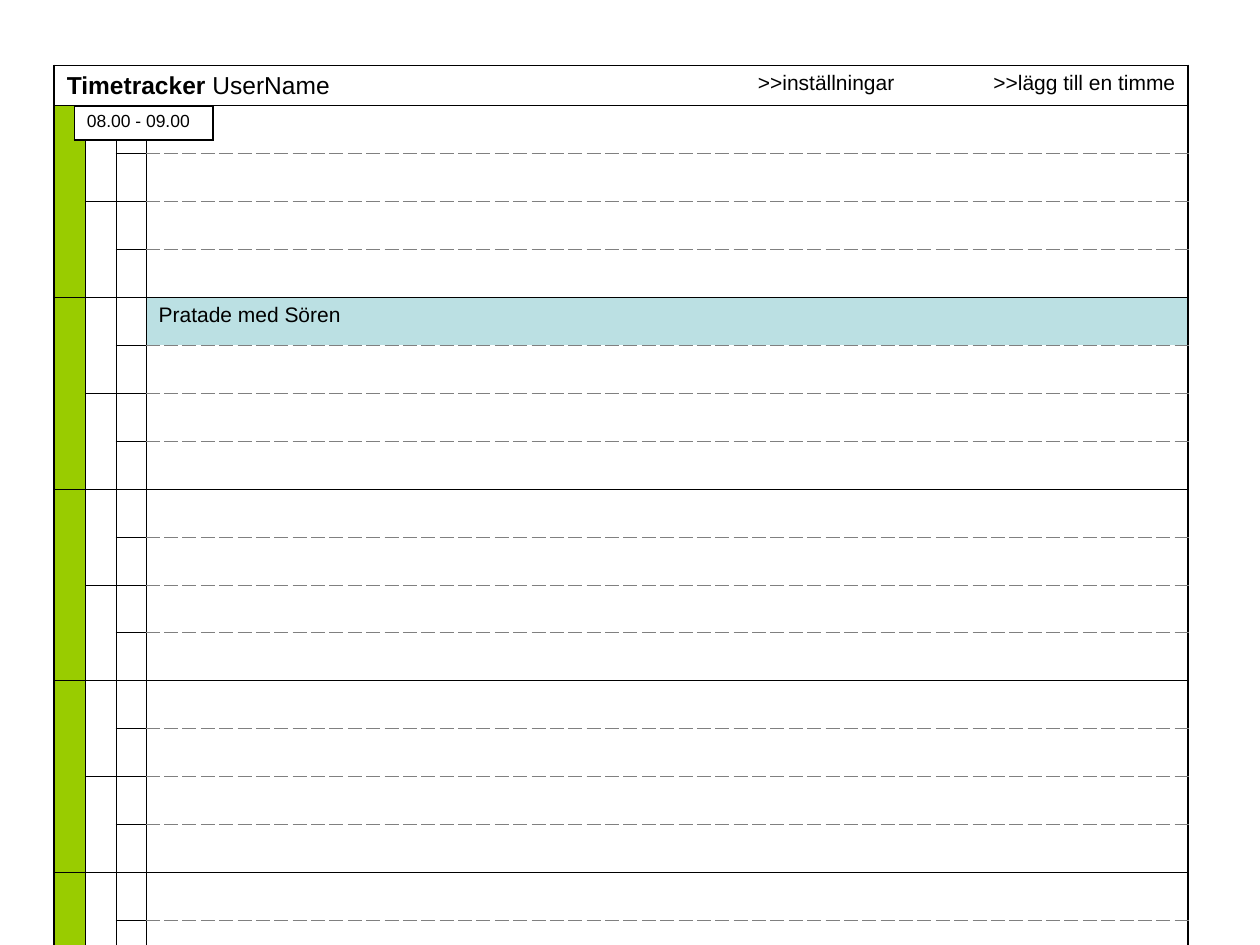
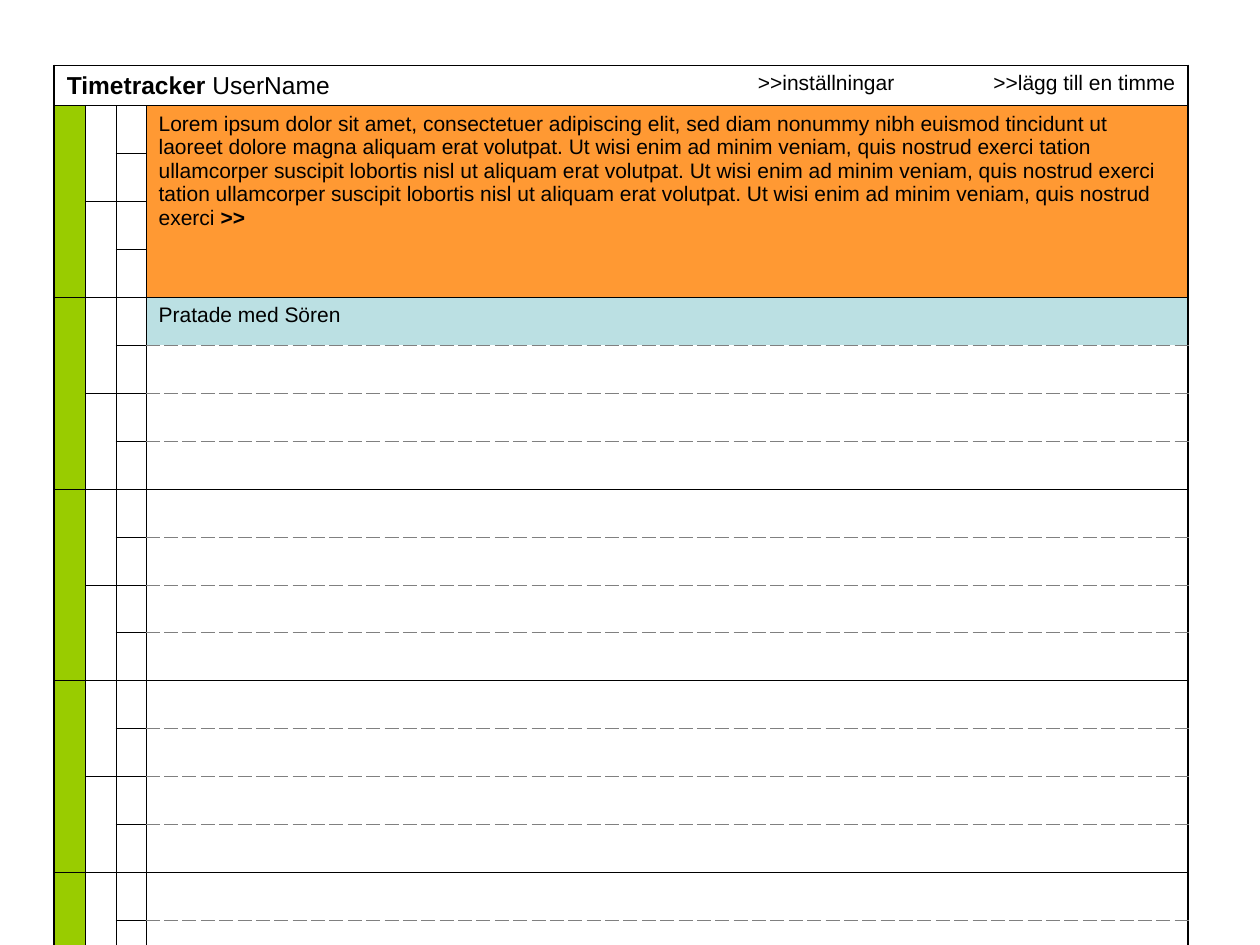
import lxml.etree
import pptx
import pptx.dml.color
import pptx.enum.text
import pptx.oxml.ns
import pptx.util

ADD = ">>lägg till en timme"
LOREM = "Lorem ipsum dolor sit amet, consectetuer adipiscing elit, sed diam nonummy nibh euismod tincidunt ut laoreet dolore magna aliquam erat volutpat. "
WISI = "Ut wisi enim ad minim veniam, quis nostrud exerci "
TATION = "tation ullamcorper suscipit lobortis nisl ut aliquam erat volutpat. "

# Runs are (text, bold); notes are first row: (rows high, fill, runs)
HEAD = [("Timetracker", True), (" UserName", False)]
TALK = (1, "BBE0E3", [("Pratade med Sören", False)])
STORY = (4, "FF9933", [(LOREM + (WISI + TATION) * 2 + WISI, False), (">>", True)])
DAYS = [
    {"notes": {5: TALK}, "label": "08.00 - 09.00", "head": 0.27, "tall": 6.29},
    {"notes": {1: STORY, 5: TALK}, "label": None, "head": 0.31, "tall": 6.43},
]

FONT, INK, GREEN, WHITE = "Arial", "000000", "99CC00", "FFFFFF"
THIN, THICK, DASH = (INK, 0.45, "solid"), (INK, 1.08, "solid"), ("808080", 0.45, "dash")
COLS = [0.25, 0.24, 0.24, 3.81, 2.23, 2.23]
LEFT, TOP, FOOT = 0.43, 0.52, 0.24
HOURS, PARTS = 7, 4
LAST = HOURS * PARTS + 1
RIGHT = pptx.enum.text.PP_ALIGN.RIGHT
inch, pt = pptx.util.Inches, pptx.util.Pt


def color(code):
    return pptx.dml.color.RGBColor.from_string(code)


def edge(cell, side, line):
    props = cell._tc.get_or_add_tcPr()
    name = pptx.oxml.ns.qn
    ln = lxml.etree.SubElement(props, name("a:ln" + side))
    if not line:
        lxml.etree.SubElement(ln, name("a:noFill"))
        return
    ln.set("w", str(int(pt(line[1]))))
    fill = lxml.etree.SubElement(ln, name("a:solidFill"))
    lxml.etree.SubElement(fill, name("a:srgbClr"), val=line[0])
    lxml.etree.SubElement(ln, name("a:prstDash"), val=line[2])


def write(cell, runs, size, align=None):
    para = cell.text_frame.paragraphs[0]
    para.alignment = align
    para.space_before = pt(size / 4)
    for text, bold in runs:
        run = para.add_run()
        run.text = text
        font = run.font
        font.name, font.size, font.bold = FONT, pt(size), bold
        font.color.rgb = color(INK)


def blank(cell):
    """Give an empty cell the type size that sets its row height."""
    name = pptx.oxml.ns.qn
    para = cell.text_frame.paragraphs[0]._p
    end = lxml.etree.SubElement(para, name("a:endParaRPr"), sz="1800")
    lxml.etree.SubElement(end, name("a:latin"), typeface=FONT)


def block(table, row, col, high=1, wide=1, lines=(THIN,) * 4, fill=None):
    """Merge, border and fill a block; lines run left, right, top, bottom."""
    first = table.cell(row, col)
    for r in range(row, row + high):
        for c in range(col, col + wide):
            cell = table.cell(r, c)
            for side, line in zip("LRTB", lines):
                edge(cell, side, line)
            if fill:
                cell.fill.solid()
                cell.fill.fore_color.rgb = color(fill)
            else:
                cell.fill.background()
    if high * wide > 1:
        first.merge(table.cell(row + high - 1, col + wide - 1))
    return first


def grid(slide, left, top, cols, rows):
    frame = slide.shapes.add_table(len(rows), len(cols), inch(left), inch(top),
                                   inch(sum(cols)), inch(sum(rows)))
    table = frame.table
    table.first_row = table.horz_banding = False
    for part, width in zip(table.columns, cols):
        part.width = inch(width)
    for part, height in zip(table.rows, rows):
        part.height = inch(height)
    return table


def rule(row):
    """Line above a row: solid at each full hour, dashed between."""
    return THIN if row % PARTS == 1 else DASH


def header(table):
    write(block(table, 0, 0, 1, 4, (THICK, None, THICK, THIN)), HEAD, 14)
    for col, text, side in ((4, ">>inställningar", None), (5, ADD, THICK)):
        cell = block(table, 0, col, lines=(None, side, THICK, THIN))
        write(cell, [(text, False)], 12, RIGHT)


def hours(table, notes):
    for row in range(1, LAST):
        if row % PARTS == 1:
            blank(block(table, row, 0, PARTS, 1, (THICK, THIN, THIN, THIN), GREEN))
        if row % 2:
            blank(block(table, row, 1, 2))
        blank(block(table, row, 2))
    row = 1
    while row < LAST:
        high, fill, runs = notes.get(row, (1, None, []))
        lines = (THIN, THICK, rule(row), rule(row + high))
        cell = block(table, row, 3, high, 3, lines, fill)
        if runs:
            write(cell, runs, 12)
        else:
            blank(cell)
        row += high


def footer(table):
    cell = block(table, LAST, 0, 1, len(COLS), (THICK, THICK, THIN, THICK), WHITE)
    cell.vertical_anchor = pptx.enum.text.MSO_ANCHOR.BOTTOM
    write(cell, [(ADD, False)], 12, RIGHT)


def build(deck, day):
    slide = deck.slides.add_slide(deck.slide_layouts[6])
    step = (day["tall"] - day["head"] - FOOT) / (LAST - 1)
    rows = [day["head"]] + [step] * (LAST - 1) + [FOOT]
    table = grid(slide, LEFT, TOP, COLS, rows)
    header(table)
    hours(table, day["notes"])
    footer(table)
    if day["label"]:
        tip = grid(slide, 0.59, 0.84, [1.1], [0.27])
        cell = block(tip, 0, 0, lines=(THICK,) * 4, fill=WHITE)
        write(cell, [(day["label"], False)], 10)


def main():
    deck = pptx.Presentation()
    deck.slide_width, deck.slide_height = inch(10), inch(7.5)
    for day in DAYS:
        build(deck, day)
    deck.save("out.pptx")


if __name__ == "__main__":
    main()
